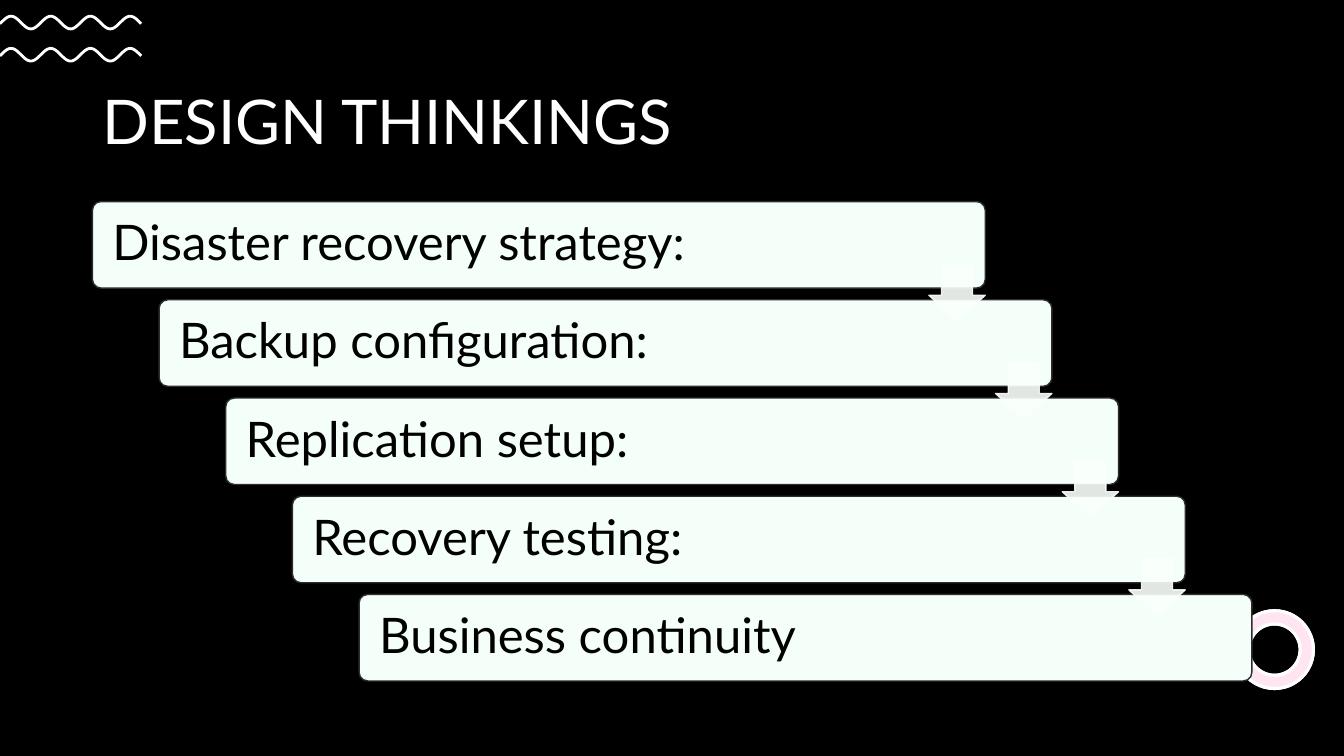
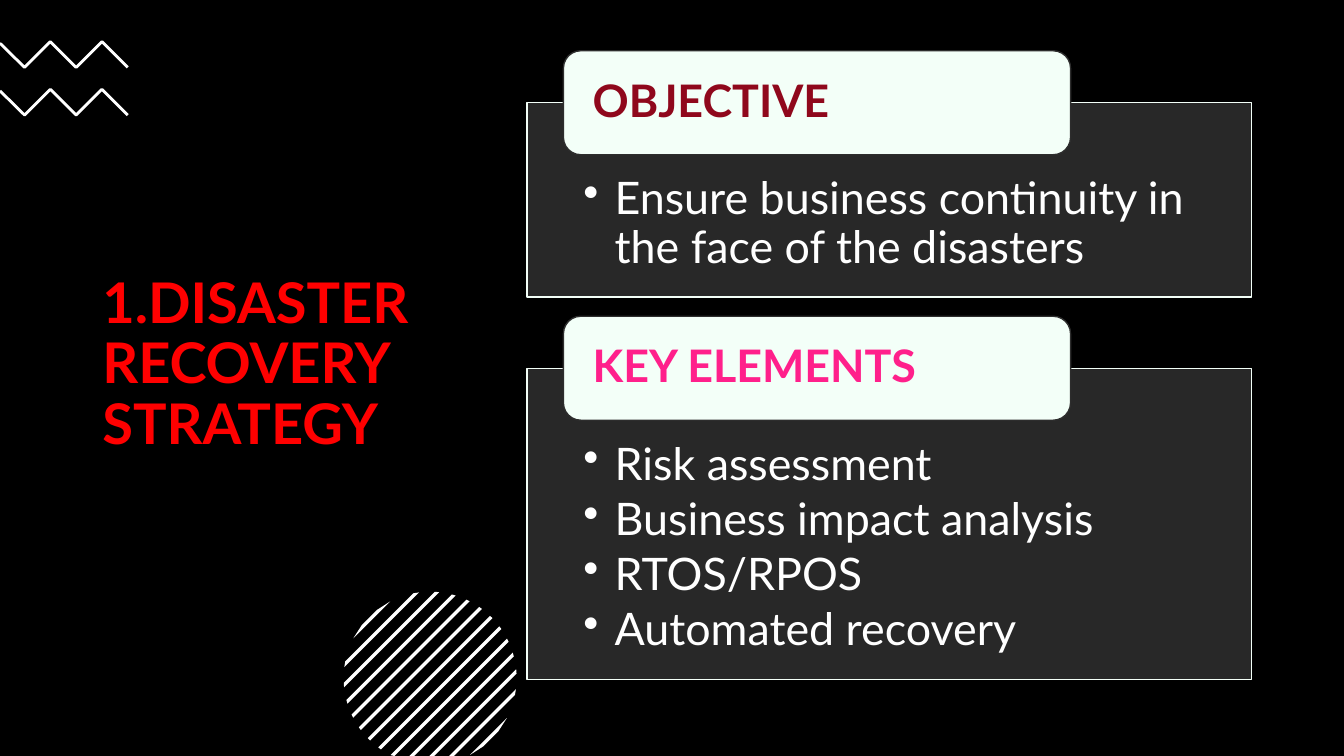
import math

import pptx
import pptx.dml.color
import pptx.enum.shapes
import pptx.enum.text
import pptx.oxml.ns
import pptx.util
from lxml import etree

Cm = pptx.util.Cm
Pt = pptx.util.Pt
SHAPE = pptx.enum.shapes.MSO_SHAPE
ANCHOR = pptx.enum.text.MSO_ANCHOR

STEPS_TITLE = "DESIGN THINKINGS"
STEPS = [
    "Disaster recovery strategy:",
    "Backup configuration:",
    "Replication setup:",
    "Recovery testing:",
    "Business continuity",
]

STRATEGY_TITLE = "1.DISASTER RECOVERY STRATEGY"
PANELS = [
    {"heading": "OBJECTIVE", "color": "maroon", "height": 4.9,
     "points": ["Ensure business continuity in the face of the disasters"]},
    {"heading": "KEY ELEMENTS", "color": "pink", "height": 7.85,
     "points": ["Risk assessment", "Business impact analysis",
                "RTOS/RPOS", "Automated recovery"]},
]

COLORS = {
    "black": "000000",
    "white": "FFFFFF",
    "mint": "F3FFF8",
    "pale mint": "FAFFFC",
    "charcoal": "2D2D2D",
    "red": "FF0000",
    "maroon": "8F081C",
    "pink": "FF208B",
    "ring pink": "FF80BD",
}
FONT = "Lato"
SLIDE_WIDTH, SLIDE_HEIGHT = 33.87, 19.05
MARGIN = 2.33


def rgb(name):
    return pptx.dml.color.RGBColor.from_string(COLORS[name])


def paint(fill, color, opacity=100):
    fill.solid()
    fill.fore_color.rgb = rgb(color)
    if opacity < 100:
        tag = pptx.oxml.ns.qn("a:srgbClr")
        for node in fill._xPr.find(pptx.oxml.ns.qn("a:solidFill")).iter(tag):
            alpha = etree.SubElement(node, pptx.oxml.ns.qn("a:alpha"))
            alpha.set("val", str(opacity * 1000))


def add_bullet(para, indent):
    properties = para._p.get_or_add_pPr()
    properties.set("marL", str(Cm(indent)))
    properties.set("indent", str(-Cm(indent)))
    bullet = etree.SubElement(properties, pptx.oxml.ns.qn("a:buChar"))
    bullet.set("char", "•")


def write(box, lines, size, color, bold=False, bullets=False,
          anchor=ANCHOR.MIDDLE, inset=(0.25, 0.13)):
    """Fill a shape with paragraphs; inset is (sides, top and bottom)."""
    frame = box.text_frame
    frame.word_wrap = True
    frame.vertical_anchor = anchor
    frame.margin_left = frame.margin_right = Cm(inset[0])
    frame.margin_top = frame.margin_bottom = Cm(inset[1])
    for number, line in enumerate(lines):
        para = frame.add_paragraph() if number else frame.paragraphs[0]
        para.alignment = pptx.enum.text.PP_ALIGN.LEFT
        para.line_spacing = 0.9
        if bullets:
            para.space_after = Pt(size * 0.15)
            add_bullet(para, 0.79)
        span = para.add_run()
        span.text = line
        span.font.name = FONT
        span.font.size = Pt(size)
        span.font.bold = bold
        span.font.color.rgb = rgb(color)


def add_box(page, kind, place, fill, line, opacity=100, line_opacity=100,
            line_width=1, adjustments=()):
    box = page.shapes.add_shape(kind, *map(Cm, place))
    box.shadow.inherit = False
    paint(box.fill, fill, opacity)
    paint(box.line.fill, line, line_opacity)
    box.line.width = Pt(line_width)
    for index, value in enumerate(adjustments):
        box.adjustments[index] = value
    return box


def add_title(page, text, place, **style):
    write(page.shapes.add_textbox(*map(Cm, place)), [text], **style)


def add_outline(page, points, closed):
    """Draw a white polygon, or an unfilled white line when not closed."""
    corners = [(Cm(x), Cm(y)) for x, y in points]
    builder = page.shapes.build_freeform(*corners[0])
    builder.add_line_segments(corners[1:], close=closed)
    outline = builder.convert_to_shape()
    outline.shadow.inherit = False
    if closed:
        paint(outline.fill, "white")
        outline.line.fill.background()
    else:
        outline.fill.background()
        paint(outline.line.fill, "white")
        outline.line.width = Pt(2)


def add_wave(page, middle):
    crest, period, height, length = 0.28, 1.0, 0.16, 3.56
    count = 90
    points = []
    for index in range(count + 1):
        x = length * index / count
        turn = 2 * math.pi * (x - crest) / period
        points.append((x, middle - height * math.cos(turn)))
    add_outline(page, points, closed=False)


def add_zigzag(page, top):
    first_low, tooth = 0.62, 0.65
    points = [(0, top + 0.04)]
    points += [(first_low + tooth * index, top + tooth * (1 - index % 2))
               for index in range(5)]
    add_outline(page, points, closed=False)


def add_striped_circle(page, center_x, center_y, radius):
    """Draw the diagonal stripes of a disc, cut at the slide's lower edge."""
    pitch, half_band, stripes_per_side = 0.5, 0.06, 6

    def chord(offset):
        reach = math.sqrt(max(0, radius ** 2 - offset ** 2 / 2) / 2)
        upper = (center_x + offset / 2 + reach, center_y + offset / 2 - reach)
        x, y = center_x + offset / 2 - reach, center_y + offset / 2 + reach
        excess = max(0, y - SLIDE_HEIGHT)
        return [upper, (x + excess, y - excess)]

    for index in range(-stripes_per_side, stripes_per_side + 1):
        near = chord(index * pitch - half_band)
        far = chord(index * pitch + half_band)
        add_outline(page, near + far[::-1], closed=True)


def add_ring(page):
    place = (31.14, 15.39, 1.96, 1.96)
    for color, opacity in (("white", 100), ("ring pink", 20)):
        add_box(page, SHAPE.DONUT, place, color, "white", opacity=opacity,
                line_width=2.25, adjustments=[0.17])


def add_page(deck):
    page = deck.slides.add_slide(deck.slide_layouts[6])
    paint(page.background.fill, "black")
    return page


def build_steps(deck):
    page = add_page(deck)
    for middle in (0.57, 1.38):
        add_wave(page, middle)
    add_title(page, STEPS_TITLE, (MARGIN, 1.57, 29.21, 3.12),
              size=44, color="white")
    add_ring(page)

    width, height, arrow = 22.5, 2.18, 1.42
    corners = [(MARGIN + 1.68 * index, 5.08 + 2.475 * index)
               for index in range(len(STEPS))]
    for (left, top), step in zip(corners, STEPS):
        box = add_box(page, SHAPE.ROUNDED_RECTANGLE, (left, top, width, height),
                      "mint", "charcoal", adjustments=[0.1])
        write(box, [step], size=35, color="black", inset=(0.44, 0.38))
    for left, top in corners[:-1]:
        add_box(page, SHAPE.DOWN_ARROW,
                (left + width - arrow, top + 1.58, arrow, arrow),
                "pale mint", "pale mint", opacity=90, line_opacity=90,
                adjustments=[0.55, 0.45])


def build_strategy(deck):
    page = add_page(deck)
    add_striped_circle(page, 10.84, 17.09, 2.18)
    add_title(page, STRATEGY_TITLE, (MARGIN, 3.33, 8.89, 11.76),
              size=40, color="red", bold=True)
    for top in (1.05, 2.25):
        add_zigzag(page, top)

    left, top, gap, tab_height = 13.28, 2.59, 1.79, 2.62
    for panel in PANELS:
        body = add_box(page, SHAPE.RECTANGLE, (left, top, 18.26, panel["height"]),
                       "charcoal", "mint", opacity=90)
        write(body, panel["points"], size=32, color="white", bullets=True,
              anchor=ANCHOR.TOP, inset=(1.42, 1.85))
        tab = add_box(page, SHAPE.ROUNDED_RECTANGLE,
                      (left + 0.92, top - tab_height / 2, 12.78, tab_height),
                      "mint", "charcoal")
        write(tab, [panel["heading"]], size=32, color=panel["color"],
              bold=True, inset=(0.61, 0.13))
        top += panel["height"] + gap


def main():
    deck = pptx.Presentation()
    deck.slide_width = Cm(SLIDE_WIDTH)
    deck.slide_height = Cm(SLIDE_HEIGHT)
    build_steps(deck)
    build_strategy(deck)
    deck.save("out.pptx")


if __name__ == "__main__":
    main()
